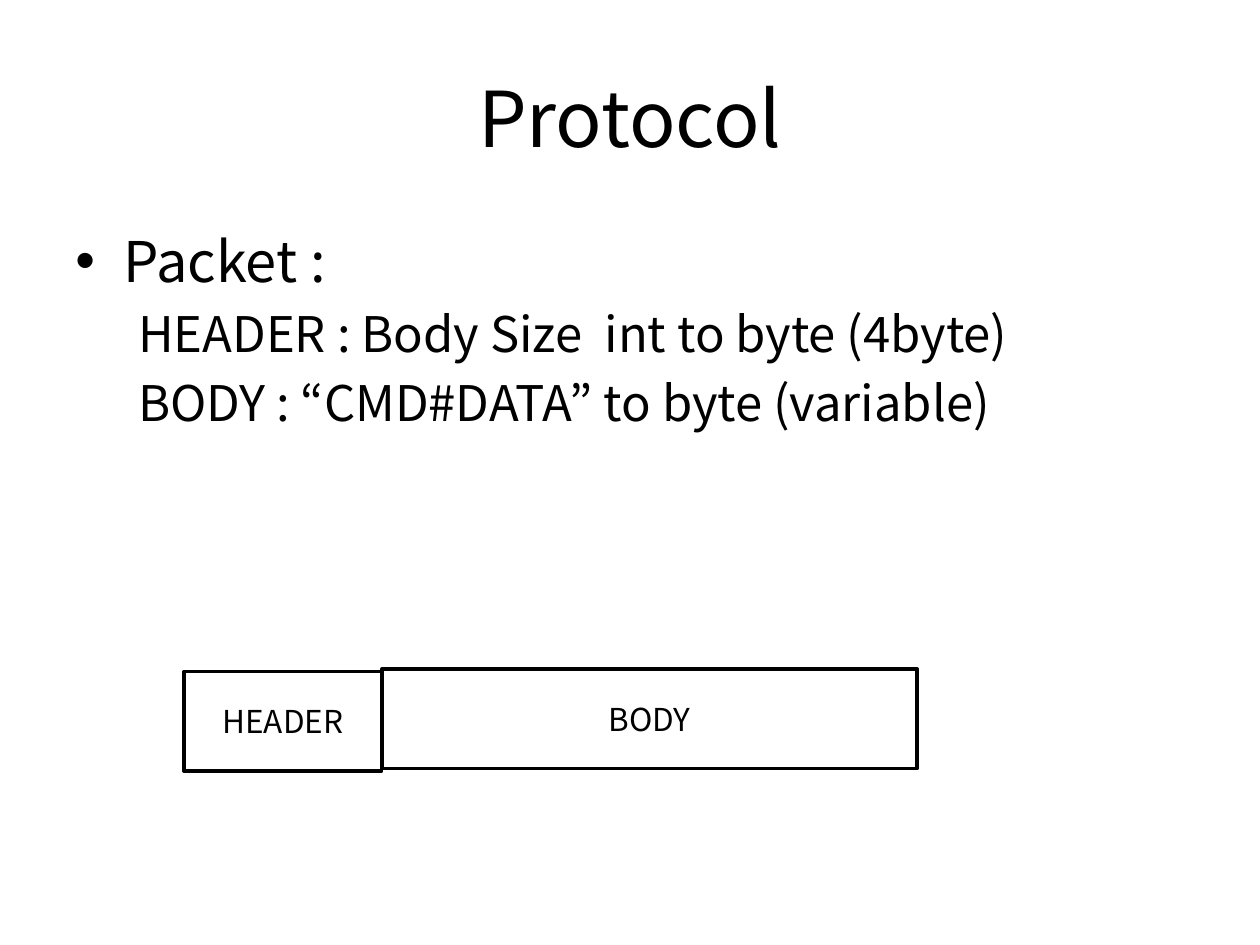
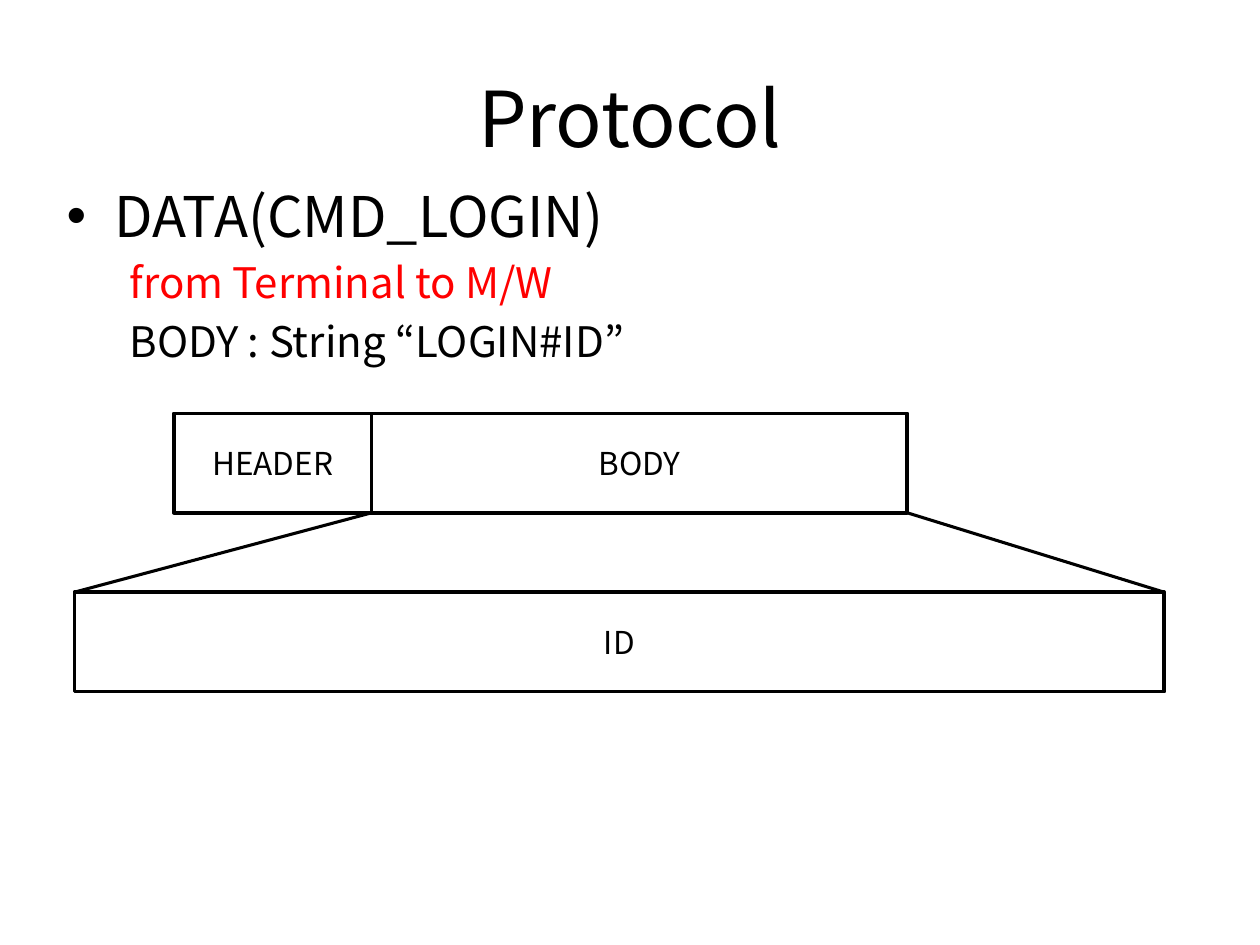
import dataclasses

import pptx
import pptx.dml.color
import pptx.enum.shapes
import pptx.enum.text
import pptx.util
from lxml import etree
from pptx.oxml.ns import qn

ALIGN = pptx.enum.text.PP_ALIGN
ANCHOR = pptx.enum.text.MSO_ANCHOR
RECTANGLE = pptx.enum.shapes.MSO_SHAPE.RECTANGLE
STRAIGHT = pptx.enum.shapes.MSO_CONNECTOR.STRAIGHT


@dataclasses.dataclass(frozen=True)
class Theme:
    font: str = "Noto Sans CJK KR"
    ink: str = "000000"
    paper: str = "FFFFFF"
    accent: str = "FF0000"
    title_size: int = 44
    topic_size: int = 32
    field_size: int = 18
    box_line: float = 2
    zoom_line: float = 1.75


theme = Theme()
COLUMNS, ROWS = 100, 75
FIELD_ROWS = 7.9
HEADER_COLUMNS, BODY_COLUMNS = 15.7, 42.5

presentation = pptx.Presentation()
presentation.slide_width = pptx.util.Inches(10)
presentation.slide_height = pptx.util.Inches(7.5)


def grid(columns, rows):
    return (round(presentation.slide_width * columns / COLUMNS),
            round(presentation.slide_height * rows / ROWS))


def write(paragraph, text, size, color=theme.ink, **formats):
    run = paragraph.add_run()
    run.text = text
    run.font.color.rgb = pptx.dml.color.RGBColor.from_string(color)
    for name, value in {"name": theme.font, "size": pptx.util.Pt(size)}.items():
        setattr(run.font, name, value)
    for name, value in formats.items():
        setattr(paragraph, name, value)


# Fields are (label, left, top, columns); zoom lines are (start, end) on the grid.
slides = [
    {"text_at": (5, 17.5), "topic": "Packet :", "detail_size": 28,
     "details": [("HEADER : Body Size  int to byte (4byte)", theme.ink),
                 ("BODY : “CMD#DATA” to byte (variable)", theme.ink)],
     "fields": [("HEADER", 14.6, 53.3, HEADER_COLUMNS),
                ("BODY", 30.3, 53.1, BODY_COLUMNS)],
     "zoom_lines": []},
    {"text_at": (4.3, 13.9), "topic": "DATA(CMD_LOGIN)", "detail_size": 24,
     "details": [("from Terminal to M/W", theme.accent),
                 ("BODY : String “LOGIN#ID”", theme.ink)],
     "fields": [("ID", 5.9, 47, 86.5),
                ("HEADER", 13.8, 32.8, HEADER_COLUMNS),
                ("BODY", 29.5, 32.8, BODY_COLUMNS)],
     "zoom_lines": [((29.5, 40.7), (5.9, 47)), ((92.4, 47), (72, 40.7))]},
]

for content in slides:
    slide = presentation.slides.add_slide(presentation.slide_layouts[6])

    title = slide.shapes.add_textbox(*grid(5, 3), *grid(90, 12.5)).text_frame
    title.word_wrap = True
    title.vertical_anchor = ANCHOR.MIDDLE
    write(title.paragraphs[0], "Protocol", theme.title_size, alignment=ALIGN.CENTER)

    outline = slide.shapes.add_textbox(*grid(*content["text_at"]), *grid(90, 49.5)).text_frame
    outline.word_wrap = True
    lines = [(content["topic"], theme.topic_size, theme.ink, 0.38, -0.38)]
    lines += [(text, content["detail_size"], color, 0.5, 0)
              for text, color in content["details"]]
    for index, (text, size, color, margin, indent) in enumerate(lines):
        paragraph = outline.add_paragraph() if index else outline.paragraphs[0]
        write(paragraph, text, size, color, space_before=pptx.util.Pt(size * 0.2))
        properties = paragraph._p.get_or_add_pPr()
        properties.set("marL", str(pptx.util.Inches(margin)))
        properties.set("indent", str(pptx.util.Inches(indent)))
        if indent:
            etree.SubElement(properties, qn("a:buFont"), typeface="Arial")
            etree.SubElement(properties, qn("a:buChar"), char="•")

    for label, left, top, columns in content["fields"]:
        field = slide.shapes.add_shape(RECTANGLE, *grid(left, top), *grid(columns, FIELD_ROWS))
        field.shadow.inherit = False
        field.fill.solid()
        field.fill.fore_color.rgb = pptx.dml.color.RGBColor.from_string(theme.paper)
        field.line.color.rgb = pptx.dml.color.RGBColor.from_string(theme.ink)
        field.line.width = pptx.util.Pt(theme.box_line)
        field.text_frame.vertical_anchor = ANCHOR.MIDDLE
        write(field.text_frame.paragraphs[0], label, theme.field_size, alignment=ALIGN.CENTER)

    for start, end in content["zoom_lines"]:
        connector = slide.shapes.add_connector(STRAIGHT, *grid(*start), *grid(*end))
        connector.line.color.rgb = pptx.dml.color.RGBColor.from_string(theme.ink)
        connector.line.width = pptx.util.Pt(theme.zoom_line)
        etree.SubElement(connector._element.spPr, qn("a:effectLst"))

presentation.save("out.pptx")
